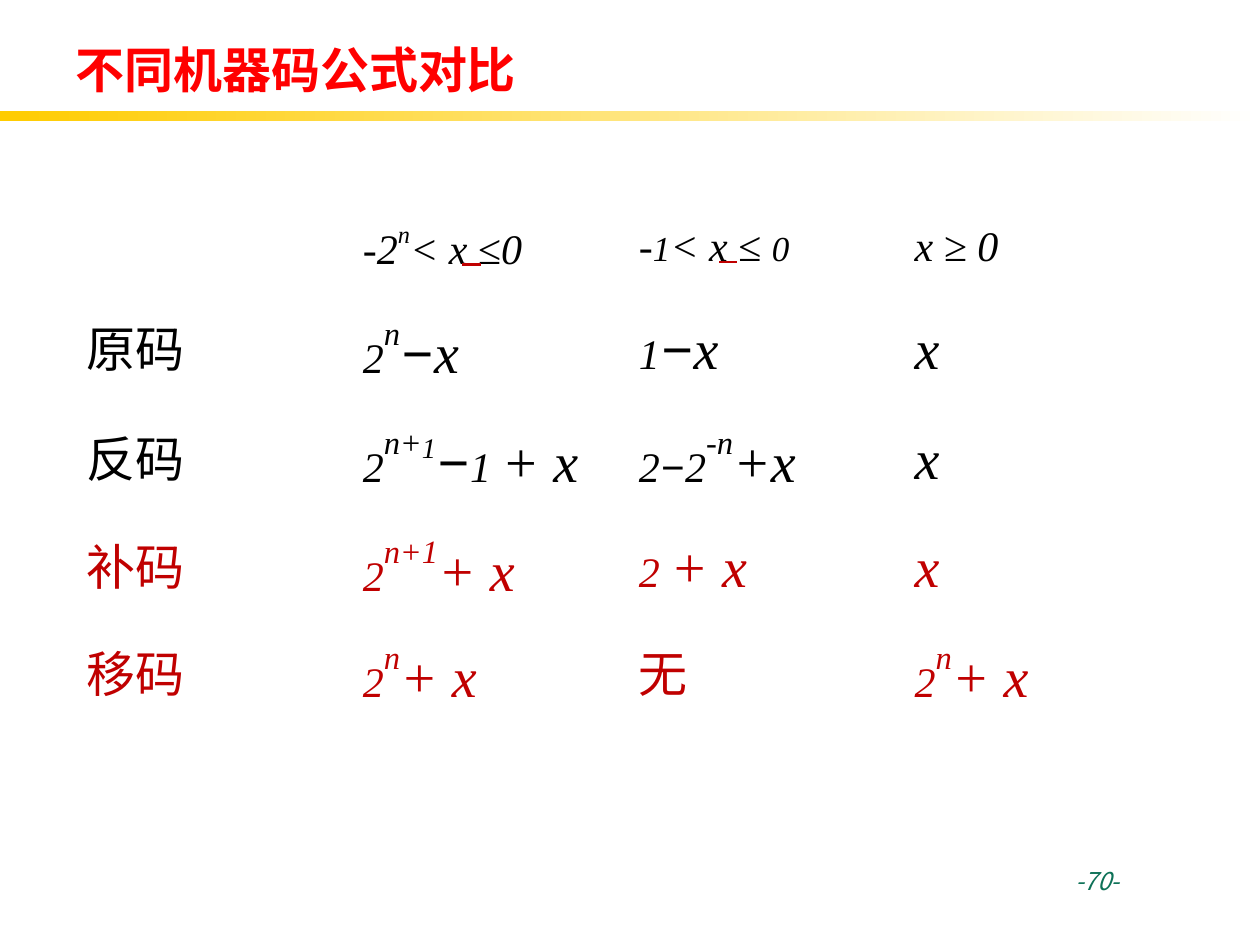
import pptx
import pptx.dml.color
import pptx.enum.shapes
import pptx.enum.text
import pptx.oxml.ns
import pptx.util
import lxml.etree

Inches = pptx.util.Inches
qn = pptx.oxml.ns.qn

CJK, LABEL, FORMULA = "Noto Sans CJK SC", "DejaVu Sans", "Times New Roman"
BLACK, RED = "000000", "C00000"

COLUMN_WIDTH = 2.19
ROW_HEIGHTS = [0.83, 0.81, 0.93, 0.79, 0.9]
ROW_COLOURS = [BLACK, BLACK, BLACK, RED, RED]

# A formula is a list of (text, size, style); a plain string is an upright label.
# Styles: "" for normal, "sup" for superscript, "bold" for bold.
X = [("x", 32, "")]
TWO_N_PLUS_X = [("2", 24, ""), ("n", 32, "sup"), ("+ x", 32, "")]
FORMULAS = [
    ["",
     [("-2", 24, ""), ("n", 24, "sup"), ("< x ≤0", 24, "")],
     [("-", 24, ""), ("1", 20, ""), ("< x ≤ ", 24, ""), ("0", 20, "")],
     [("x ≥ 0", 24, "")]],
    ["原码",
     [("2", 24, ""), ("n", 32, "sup"), ("−", 32, "bold"), ("x", 32, "")],
     [("1", 24, ""), ("−", 32, "bold"), ("x", 32, "")],
     X],
    ["反码",
     [("2", 24, ""), ("n+", 32, "sup"), ("1", 28, "sup"), ("−", 32, "bold"),
      ("1 ", 24, ""), ("+ x", 32, "")],
     [("2", 24, ""), ("−", 24, "bold"), ("2", 24, ""), ("-n", 32, "sup"),
      ("+x", 32, "")],
     X],
    ["补码",
     [("2", 24, ""), ("n+1", 32, "sup"), ("+ x", 32, "")],
     [("2 ", 24, ""), ("+ x", 32, "")],
     X],
    ["移码", TWO_N_PLUS_X, "无", TWO_N_PLUS_X],
]


def colour(value):
    return pptx.dml.color.RGBColor.from_string(value)


def format_run(run, size, face, value, bold=False, italic=False):
    font = run.font
    font.size = pptx.util.Pt(size)
    font.bold, font.italic = bold, italic
    font.color.rgb = colour(value)
    font.name = face
    # East Asian characters take their own typeface element
    lxml.etree.SubElement(run._r.get_or_add_rPr(), qn("a:ea"), typeface=face)


def add_title(slide, text):
    title = slide.shapes.title
    title.left, title.top = Inches(0.5), Inches(0.23)
    title.width, title.height = Inches(9), Inches(0.64)
    frame = title.text_frame
    frame.text = text
    frame.vertical_anchor = pptx.enum.text.MSO_ANCHOR.MIDDLE
    frame.paragraphs[0].alignment = pptx.enum.text.PP_ALIGN.LEFT
    format_run(frame.paragraphs[0].runs[0], 28, CJK, "FF0000", bold=True)


def add_title_bar(slide):
    bar = slide.shapes.add_shape(pptx.enum.shapes.MSO_SHAPE.RECTANGLE,
                                 0, Inches(0.88), Inches(10), Inches(0.08))
    bar.shadow.inherit = False
    bar.line.fill.background()
    bar.fill.gradient()
    bar.fill.gradient_angle = 0
    for stop, position, value in zip(bar.fill.gradient_stops, (0, 1),
                                     ("FFCC00", "FFFFFF")):
        stop.position = position
        stop.color.rgb = colour(value)


def add_page_number(slide, text):
    box = slide.shapes.add_textbox(Inches(8.39), Inches(6.82),
                                   Inches(1.11), Inches(0.52))
    box.text_frame.word_wrap = True
    box.text_frame.text = text
    format_run(box.text_frame.paragraphs[0].runs[0], 14, CJK, "0D7157", italic=True)


def fill_cell(cell, content, value):
    cell.fill.solid()
    cell.fill.fore_color.rgb = colour("FFFFFF")
    cell.vertical_anchor = pptx.enum.text.MSO_ANCHOR.MIDDLE
    cell.margin_top = cell.margin_bottom = 0
    paragraph = cell.text_frame.paragraphs[0]
    if isinstance(content, str):
        paragraph.text = content
        for run in paragraph.runs:
            format_run(run, 28, LABEL, value)
        return
    for text, size, style in content:
        run = paragraph.add_run()
        run.text = text
        format_run(run, size, FORMULA, value, bold=style == "bold", italic=True)
        if style == "sup":
            run._r.get_or_add_rPr().set("baseline", "50000")


def add_formula_table(slide):
    columns = len(FORMULAS[0])
    table = slide.shapes.add_table(
        len(FORMULAS), columns, Inches(0.59), Inches(1.55),
        Inches(COLUMN_WIDTH * columns), Inches(sum(ROW_HEIGHTS))).table
    table.first_row = table.horz_banding = False
    for column in table.columns:
        column.width = Inches(COLUMN_WIDTH)
    for r, (contents, height, value) in enumerate(
            zip(FORMULAS, ROW_HEIGHTS, ROW_COLOURS)):
        table.rows[r].height = Inches(height)
        for c, content in enumerate(contents):
            fill_cell(table.cell(r, c), content, value)


def add_mark(slide, left, right, y):
    mark = slide.shapes.add_connector(
        pptx.enum.shapes.MSO_CONNECTOR.STRAIGHT,
        Inches(left), Inches(y), Inches(right), Inches(y))
    mark.line.color.rgb = colour(RED)
    mark.line.width = pptx.util.Pt(1.5)
    lxml.etree.SubElement(mark._element.spPr, qn("a:effectLst"))


def main():
    deck = pptx.Presentation()
    deck.slide_width, deck.slide_height = Inches(10), Inches(7.5)
    slide = deck.slides.add_slide(deck.slide_layouts[5])

    # Heading
    add_title_bar(slide)
    add_title(slide, "不同机器码公式对比")

    # Comparison of the codes, with marks under the "or equal" signs
    add_formula_table(slide)
    add_mark(slide, 3.67, 3.82, 2.1)
    add_mark(slide, 5.71, 5.85, 2.08)

    add_page_number(slide, " -70-")
    deck.save("out.pptx")


if __name__ == "__main__":
    main()
